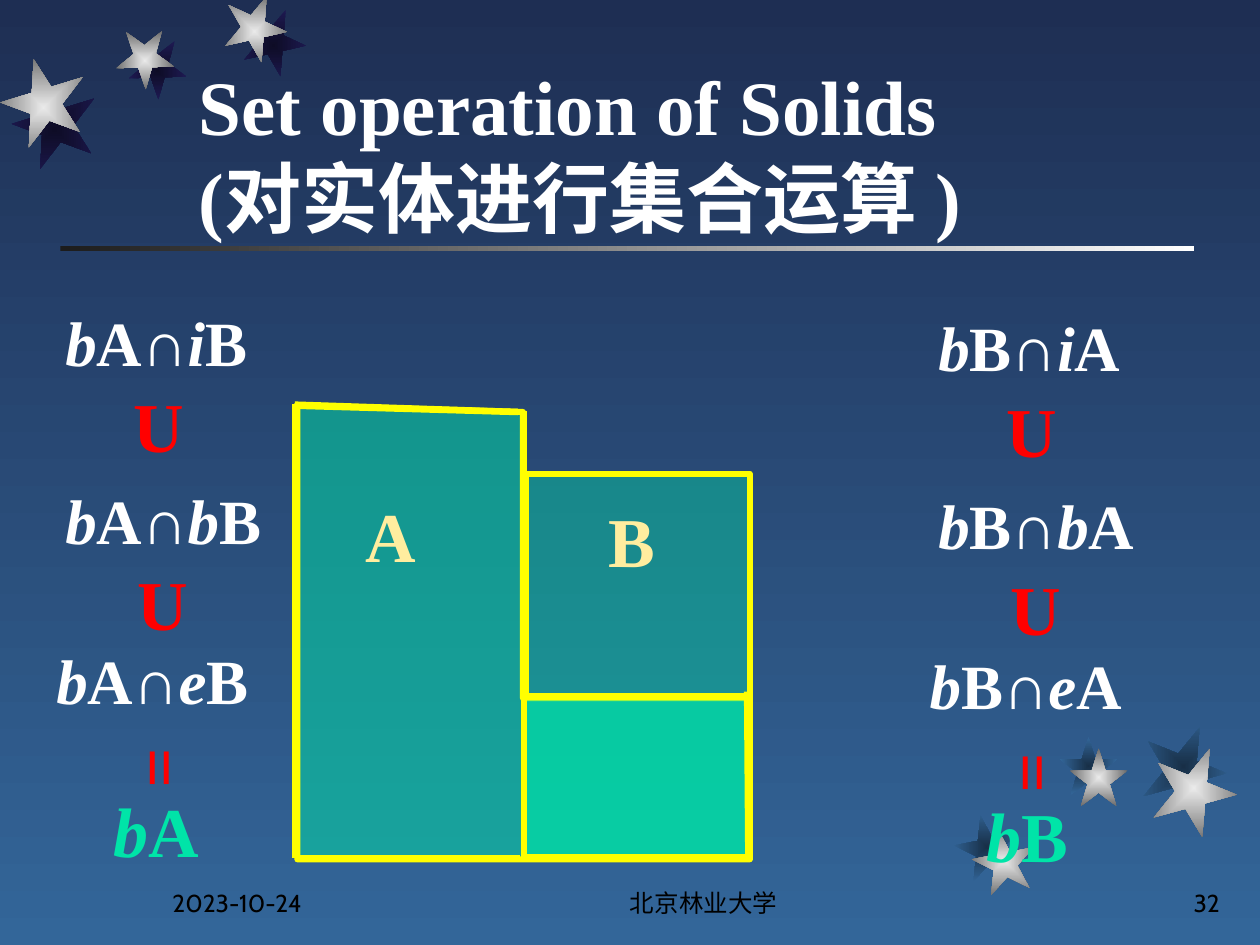
"""Build the slide on set operations of two solids."""
from lxml import etree
from pptx import Presentation
from pptx.dml.color import RGBColor
from pptx.enum.shapes import MSO_CONNECTOR, MSO_SHAPE
from pptx.enum.text import MSO_ANCHOR, MSO_AUTO_SIZE, PP_ALIGN
from pptx.oxml.ns import qn
from pptx.util import Inches, Pt

LEFT, CENTER, RIGHT = PP_ALIGN.LEFT, PP_ALIGN.CENTER, PP_ALIGN.RIGHT
TOP, BOTTOM = MSO_ANCHOR.TOP, MSO_ANCHOR.BOTTOM
GROW, FIXED = MSO_AUTO_SIZE.SHAPE_TO_FIT_TEXT, MSO_AUTO_SIZE.NONE
RECTANGLE, STAR = MSO_SHAPE.RECTANGLE, MSO_SHAPE.STAR_5_POINT
STRAIGHT = MSO_CONNECTOR.STRAIGHT

WHITE, RED, GREEN, YELLOW, CREAM = "FFFFFF", "FF0000", "00E4A8", "FFFF00", "FFED9F"
SILVER, NIGHT, DUSK = ("EAEAEA", "6C6C6C"), ("0E0C26", "1E1A53"), ("182F47", "336699")

TITLE = "Set operation of Solids\v(对实体进行集合运算 )"
FOOTERS = [
    ("2023-10-24", (1.27, 6.83, 2.08, 0.5), LEFT),
    ("北京林业大学", (4, 6.83, 3.17, 0.5), CENTER),
    ("32", (7.7, 6.83, 2.08, 0.5), RIGHT),
]
STARS = [
    (NIGHT, [(1.92, 0.11, 0.5, 167.3), (1.02, 0.33, 0.46, 178.3), (0.1, 0.69, 0.67, 200.3)]),
    (SILVER, [(1.77, 0, 0.5, 167.3), (0.92, 0.25, 0.46, 178.3), (0.01, 0.52, 0.67, 200.3)]),
    (DUSK, [(7.58, 6.47, 0.5, 349), (8.41, 5.85, 0.46, 0), (9.06, 5.75, 0.67, 22)]),
    (SILVER, [(7.72, 6.58, 0.5, 349), (8.49, 5.94, 0.46, 0), (9.14, 5.92, 0.67, 22)]),
]
SOLID_B = (4.16, 3.76, 1.79, 3.05)
OVERLAP = (4.16, 5.53, 1.79, 1.29)
SOLID_A = [(2.36, 3.2), (2.36, 6.82), (5.95, 6.82), (5.95, 5.54),
           (4.15, 5.54), (4.15, 3.27), (2.34, 3.21)]
EDGES = [
    (4.16, 5.53, 5.92, 5.53), (4.17, 3.77, 4.17, 5.54), (4.14, 6.8, 5.93, 6.8),
    (5.93, 5.49, 5.94, 6.83), (2.34, 6.81, 4.13, 6.81), (2.34, 3.21, 2.34, 6.81),
    (2.35, 3.22, 4.11, 3.27), (4.16, 3.26, 4.16, 3.79),
]
SOLID_NAMES = [("A", (2.8, 3.86, 0.6, 0.77)), ("B", (4.73, 3.9, 0.57, 0.77))]
FORMULAS = [("A", "B", 0, 0), ("B", "A", 6.93, 0.04)]
FORMULA_ROWS = [
    ("*b*{0}∩*i*{1}", (0.42, 2.36, 1.87, 0.7), {"size": 36, "wrap": True}),
    ("*b*{0}∩*b*{1}", (0.42, 3.77, 1.87, 0.7), {"size": 36, "wrap": True}),
    ("*b*{0}∩*e*{1}", (0.35, 5.04, 1.87, 0.7), {"size": 36, "wrap": True}),
    ("U", (0.96, 2.99, 0.6, 0.77), {"color": RED}),
    ("U", (0.99, 4.4, 0.6, 0.77), {"color": RED}),
    ("=", (0.83, 5.84, 0.86, 0.42), {"color": RED, "vertical": True}),
    ("*b*{0}", (0.8, 6.2, 0.88, 0.77), {"color": GREEN}),
]


def rgb(value):
    """Turn a hex string into a colour."""
    return RGBColor.from_string(value)


def place(box):
    """Turn a box in inches into lengths."""
    return [Inches(value) for value in box]


def blend(fill, colors, angle=0):
    """Give a fill a gradient of two colours."""
    fill.gradient()
    fill.gradient_angle = angle
    for stop, color in zip(fill.gradient_stops, colors):
        stop.color.rgb = rgb(color)


def blend_from_center(shape, colors):
    """Give a shape a gradient that spreads from its middle."""
    blend(shape.fill, colors)
    linear = shape._element.spPr.find(".//" + qn("a:lin"))
    spread = etree.Element(qn("a:path"), path="rect")
    etree.SubElement(spread, qn("a:fillToRect"), l="50000", t="50000", r="50000", b="50000")
    linear.getparent().replace(linear, spread)


def add_text(slide, text, box, size=40, color=WHITE, font="Times New Roman", bold=True,
             align=LEFT, anchor=TOP, wrap=False, grow=True, vertical=False):
    """Add a text box in which parts between asterisks are italic."""
    frame = slide.shapes.add_textbox(*place(box)).text_frame
    frame.word_wrap = wrap
    frame.auto_size = GROW if grow else FIXED
    frame.vertical_anchor = anchor
    if vertical:
        frame._txBody.bodyPr.set("vert", "eaVert")
        frame.margin_left = frame.margin_right = Inches(0.05)
        frame.margin_top = frame.margin_bottom = Inches(0.1)
    paragraph = frame.paragraphs[0]
    paragraph.alignment = align
    for index, part in enumerate(text.split("*")):
        for line_index, line in enumerate(part.split("\v")):
            if line_index:
                paragraph.add_line_break()
            if line:
                run = paragraph.add_run()
                run.text = line
                run.font.size = Pt(size)
                run.font.name = font
                run.font.bold = bold
                run.font.italic = index % 2 == 1
                run.font.color.rgb = rgb(color)


def style_solid(shape, opacity):
    """Fill a solid with translucent green and outline it in yellow."""
    shape.shadow.inherit = False
    shape.fill.solid()
    shape.fill.fore_color.rgb = rgb(GREEN)
    tint = shape._element.spPr.find(qn("a:solidFill"))[0]
    etree.SubElement(tint, qn("a:alpha"), val=str(opacity * 1000))
    shape.line.color.rgb = rgb(YELLOW)
    shape.line.width = Pt(3.5)


def add_edge(slide, ends, width=3.75):
    """Draw one yellow edge."""
    edge = slide.shapes.add_connector(STRAIGHT, *place(ends))
    edge.line.color.rgb = rgb(YELLOW)
    edge.line.width = Pt(width)
    etree.SubElement(edge._element.spPr, qn("a:effectLst"))


def add_backdrop(slide):
    """Add the background, the rule under the title and the stars."""
    blend(slide.background.fill, ("1E2E53", "336699"), angle=270)
    rule = slide.shapes.add_shape(RECTANGLE, *place((0.48, 1.95, 9, 0.04)))
    rule.shadow.inherit = False
    rule.line.fill.background()
    blend(rule.fill, ("1C1C1C", WHITE))
    for colors, stars in STARS:
        for left, top, side, turn in stars:
            star = slide.shapes.add_shape(STAR, *place((left, top, side, side)))
            star.rotation = turn
            star.shadow.inherit = False
            star.line.fill.background()
            blend_from_center(star, colors)


def add_solids(slide):
    """Draw both solids, their overlap, edges and names."""
    style_solid(slide.shapes.add_shape(RECTANGLE, *place(SOLID_B)), 40)
    start, *corners = [place(corner) for corner in SOLID_A]
    outline = slide.shapes.build_freeform(*start)
    outline.add_line_segments(corners, close=False)
    style_solid(outline.convert_to_shape(), 50)
    add_edge(slide, (4.16, 3.76, 4.16, 5.55), width=3.5)
    style_solid(slide.shapes.add_shape(RECTANGLE, *place(OVERLAP)), 40)
    for ends in EDGES:
        add_edge(slide, ends)
    for name, box in SOLID_NAMES:
        add_text(slide, name, box, color=CREAM)


def main():
    """Build and save the slide."""
    deck = Presentation()
    deck.slide_width, deck.slide_height = Inches(10), Inches(7.5)
    slide = deck.slides.add_slide(deck.slide_layouts[6])
    add_backdrop(slide)
    for text, box, align in FOOTERS:
        add_text(slide, text, box, size=14, color="000000", font="Cabin", bold=False,
                 align=align, anchor=BOTTOM, wrap=True, grow=False)
    add_text(slide, TITLE, (1.48, 0.38, 7.5, 1.6), size=44, anchor=BOTTOM, wrap=True, grow=False)
    add_solids(slide)
    for own, other, shift, drop in FORMULAS:
        for text, (left, top, width, height), style in FORMULA_ROWS:
            box = (left + shift, top + drop, width, height)
            add_text(slide, text.format(own, other), box, **style)
    deck.save("out.pptx")


if __name__ == "__main__":
    main()
